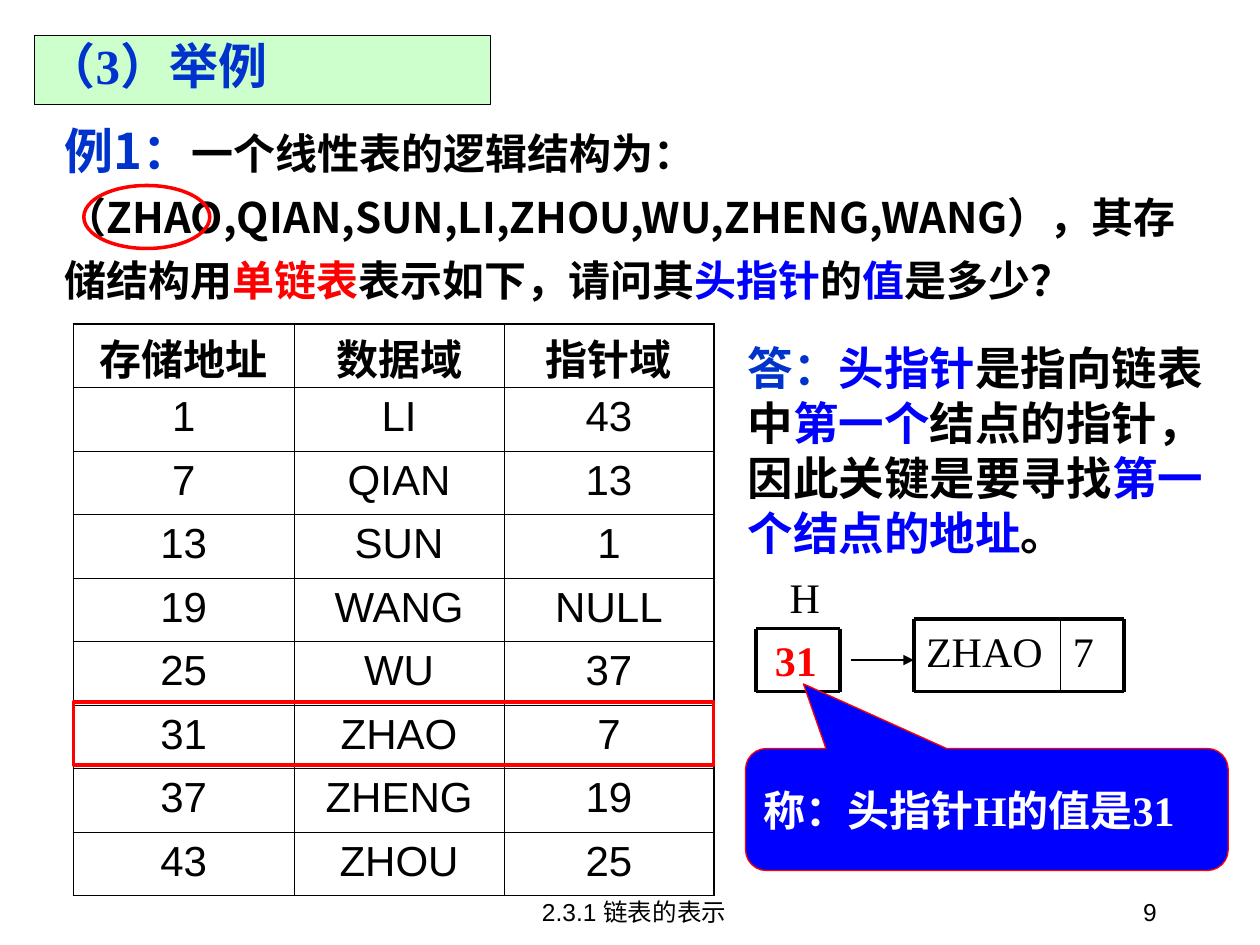
from dataclasses import dataclass

from lxml.etree import SubElement
from pptx import Presentation
from pptx.dml.color import RGBColor
from pptx.enum.shapes import MSO_CONNECTOR as CONN, MSO_SHAPE as SHAPE
from pptx.enum.text import MSO_ANCHOR as ANCHOR, PP_ALIGN as ALIGN
from pptx.oxml.ns import qn
from pptx.util import Cm, Pt


@dataclass(frozen=True)
class Theme:
    black: str = "000000"
    white: str = "FFFFFF"
    red: str = "FF0000"
    blue: str = "0000FF"
    heading: str = "0033CC"
    banner: str = "CCFFCC"
    title_size: int = 28
    answer_size: int = 26
    body_size: int = 24
    footer_size: int = 14
    sans: str = "Arial"
    serif: str = "Times New Roman"
    cjk: str = "Noto Sans CJK SC"
    thin: float = 0.45
    edge: float = 1.08
    hairline: float = 0.75
    divider: float = 1
    accent: float = 2
    heavy: float = 2.25


T = Theme()

HEADER = ["存储地址", "数据域", "指针域"]
NODES = [
    (1, "LI", 43),
    (7, "QIAN", 13),
    (13, "SUN", 1),
    (19, "WANG", "NULL"),
    (25, "WU", 37),
    (31, "ZHAO", 7),
    (37, "ZHENG", 19),
    (43, "ZHOU", 25),
]
COL_WIDTHS = [4.45, 4.23, 4.23]
ROW_HEIGHT = 1.28


def rgb(color):
    return RGBColor.from_string(color)


def style_run(r, color, size, font, bold):
    r.font.size, r.font.bold, r.font.name = Pt(size), bold, font
    r.font.color.rgb = rgb(color)
    SubElement(r._r.get_or_add_rPr(), qn("a:ea"), typeface=T.cjk)


def write(tf, parts, size=T.body_size, font=T.serif, bold=False,
          align=ALIGN.LEFT, anchor=ANCHOR.TOP, spacing=None):
    """Fill a frame with (text, colour[, size]) parts in one paragraph."""
    tf.word_wrap = True
    tf.vertical_anchor = anchor
    p = tf.paragraphs[0]
    p.alignment = align
    if spacing:
        p.line_spacing = Pt(spacing)
    for text, color, *own_size in parts:
        r = p.add_run()
        r.text = text
        style_run(r, color, own_size[0] if own_size else size, font, bold)


def add_text(s, box, parts, **options):
    write(s.shapes.add_textbox(*map(Cm, box)).text_frame, parts, **options)


def add_box(s, kind, box, line, width, fill=None):
    sp = s.shapes.add_shape(kind, *map(Cm, box))
    sp.shadow.inherit = False
    if fill:
        sp.fill.solid()
        sp.fill.fore_color.rgb = rgb(fill)
    else:
        sp.fill.background()
    sp.line.color.rgb = rgb(line)
    sp.line.width = Pt(width)
    return sp


def add_line(s, x1, y1, x2, y2, width, arrow=False):
    line = s.shapes.add_connector(CONN.STRAIGHT, *map(Cm, (x1, y1, x2, y2)))
    line.line.color.rgb = rgb(T.black)
    line.line.width = Pt(width)
    if arrow:
        SubElement(line.line._get_or_add_ln(), qn("a:tailEnd"), type="triangle")
    SubElement(line._element.spPr, qn("a:effectLst"))


def add_frame(s, x, y, w, h):
    """Rule the four edges of a memory cell."""
    for edge_y in (y, y + h):
        add_line(s, x, edge_y, x + w, edge_y, T.heavy)
    for edge_x in (x, x + w):
        add_line(s, edge_x, y, edge_x, y + h, T.heavy)


def add_title(s, box):
    sp = s.shapes.title
    sp.left, sp.top, sp.width, sp.height = map(Cm, box)
    sp.fill.solid()
    sp.fill.fore_color.rgb = rgb(T.banner)
    sp.line.color.rgb = rgb(T.black)
    sp.line.width = Pt(T.hairline)
    sp.text_frame.margin_bottom = Cm(0.33)
    write(sp.text_frame, [("（3）举例", T.heading)], size=T.title_size,
          bold=True, anchor=ANCHOR.MIDDLE)


def add_question(s, box):
    x, y, _, _ = box
    add_text(s, box, [
        ("例1：", T.heading, T.title_size),
        ("一个线性表的逻辑结构为：（ZHAO,QIAN,SUN,LI,ZHOU,WU,ZHENG,WANG），"
         "其存储结构用", T.black),
        ("单链表", T.red),
        ("表示如下，请问其", T.black),
        ("头指针", T.blue),
        ("的", T.black),
        ("值", T.blue),
        ("是多少？", T.black),
    ], font=T.cjk, bold=True, spacing=36)
    add_box(s, SHAPE.OVAL, (x + 0.63, y + 1.52, 2.54, 1.27), T.red, T.accent)


def set_borders(cell, widths):
    """Draw the left, right, top and bottom borders, in that order."""
    tc_pr = cell._tc.get_or_add_tcPr()
    for i, (side, width) in enumerate(zip("LRTB", widths)):
        ln = tc_pr.makeelement(qn(f"a:ln{side}"), {"w": str(Pt(width))})
        fill = SubElement(ln, qn("a:solidFill"))
        SubElement(fill, qn("a:srgbClr"), val=T.black)
        tc_pr.insert(i, ln)


def add_storage_table(s, x, y):
    rows = [HEADER, *NODES]
    width = sum(COL_WIDTHS)
    last_row, last_col = len(rows) - 1, len(HEADER) - 1
    table = s.shapes.add_table(
        len(rows), len(HEADER),
        *map(Cm, (x, y, width, ROW_HEIGHT * len(rows)))).table
    table.first_row = table.horz_banding = False
    for col, col_width in zip(table.columns, COL_WIDTHS):
        col.width = Cm(col_width)
    for i, values in enumerate(rows):
        header = i == 0
        table.rows[i].height = Cm(ROW_HEIGHT)
        for j, value in enumerate(values):
            cell = table.cell(i, j)
            cell.fill.background()
            if header:
                cell.margin_top, cell.margin_bottom = Cm(0.36), 0
            write(cell.text_frame, [(str(value), T.black)], font=T.sans,
                  bold=header, align=ALIGN.CENTER,
                  spacing=26 if header else None)
            outer = (j == 0, j == last_col, header, i == last_row)
            set_borders(cell, [T.edge if o else T.thin for o in outer])
    add_box(s, SHAPE.RECTANGLE, (x, y + 7.62, width, 1.27), T.red, T.accent)


def add_answer(s, box):
    add_text(s, box, [
        ("答：", T.heading),
        ("头指针", T.blue),
        ("是指向链表中", T.black),
        ("第一个", T.blue),
        ("结点的指针，因此关键是要寻找", T.black),
        ("第一个结点的地址", T.blue),
        ("。", T.black),
    ], size=T.answer_size, font=T.cjk, bold=True, spacing=31.4)


def add_pointer_diagram(s, x, y):
    """Draw the first node, the head pointer H and the arrow between them."""
    node_x, node_y, node_w, node_h = x + 3.18, y + 1.08, 4.23, 1.46
    data_w = 2.96
    split = node_x + data_w
    add_text(s, (split, node_y, node_w - data_w, node_h), [("7", T.black)])
    add_text(s, (node_x, node_y, data_w, node_h), [("ZHAO", T.black)])
    add_frame(s, node_x, node_y, node_w, node_h)
    add_line(s, split, node_y, split, node_y + node_h, T.divider)

    head_y, head_w, head_h = y + 1.27, 1.69, 1.27
    add_frame(s, x, head_y, head_w, head_h)
    middle = head_y + head_h / 2
    add_line(s, x + 1.91, middle, node_x, middle, T.hairline, arrow=True)
    add_text(s, (x + 0.43, y, 1.12, 1.27), [("H", T.black)])
    add_text(s, (x + 0.13, head_y, 1.35, head_h), [("31", T.red)], bold=True)


def add_conclusion(s, box):
    sp = add_box(s, SHAPE.ROUNDED_RECTANGULAR_CALLOUT, box, T.red, T.hairline, T.blue)
    for i, value in enumerate((-0.38, -1.03, 0.17)):
        sp.adjustments[i] = value
    write(sp.text_frame, [("称：头指针H的值是31", T.white)], bold=True,
          anchor=ANCHOR.MIDDLE)


def add_footer(s, y):
    for x, width, text, align in (
            (8.76, 8.05, "2.3.1 链表的表示", ALIGN.CENTER),
            (18.29, 5.28, "9", ALIGN.RIGHT)):
        add_text(s, (x, y, width, 1.27), [(text, T.black)], size=T.footer_size,
                 font=T.sans, align=align, anchor=ANCHOR.BOTTOM)


def main():
    prs = Presentation()
    prs.slide_width, prs.slide_height = Cm(25.4), Cm(19.05)
    s = prs.slides.add_slide(prs.slide_layouts[5])
    add_title(s, (0.69, 0.71, 9.2, 1.4))
    add_question(s, (1.06, 2.22, 23.5, 4.1))
    add_storage_table(s, 1.48, 6.53)
    add_answer(s, (14.82, 6.73, 10.08, 4.67))
    add_pointer_diagram(s, 15.24, 11.4)
    add_conclusion(s, (15.03, 15.09, 9.73, 2.46))
    add_footer(s, 17.53)
    prs.save("out.pptx")


if __name__ == "__main__":
    main()
